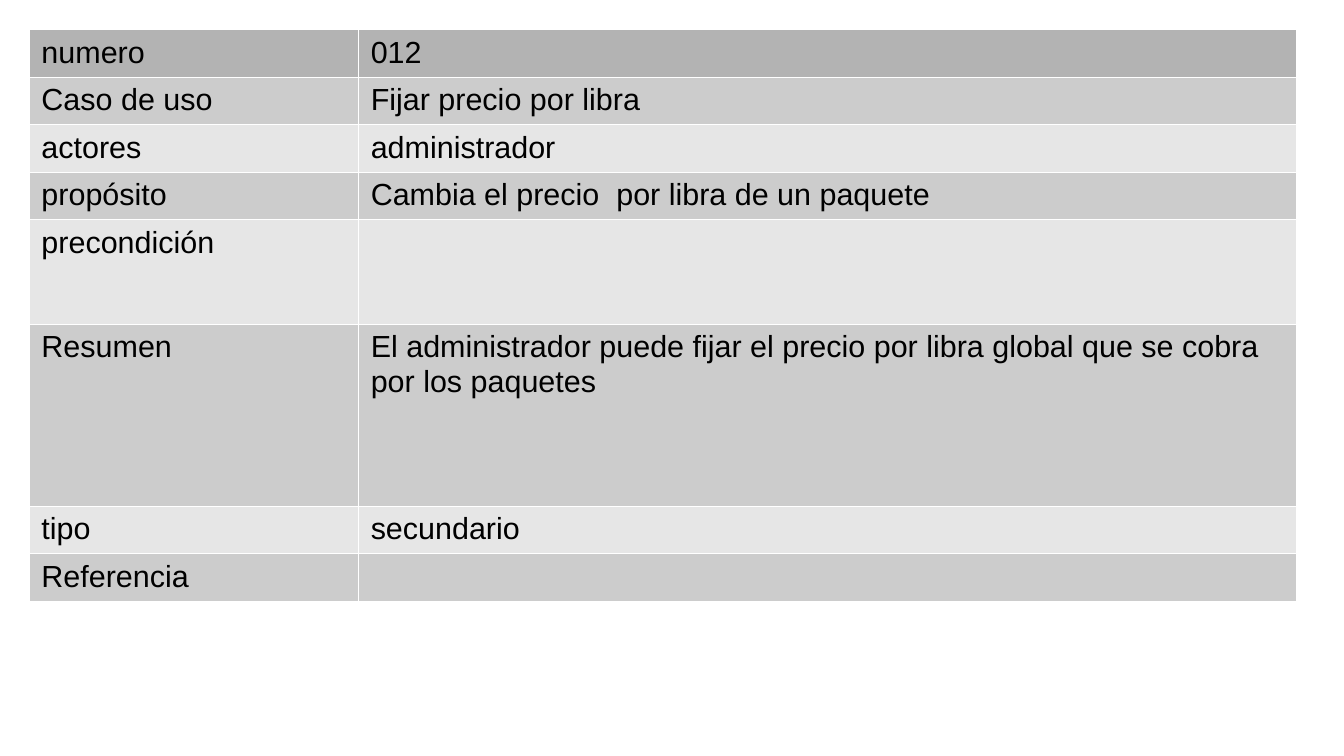
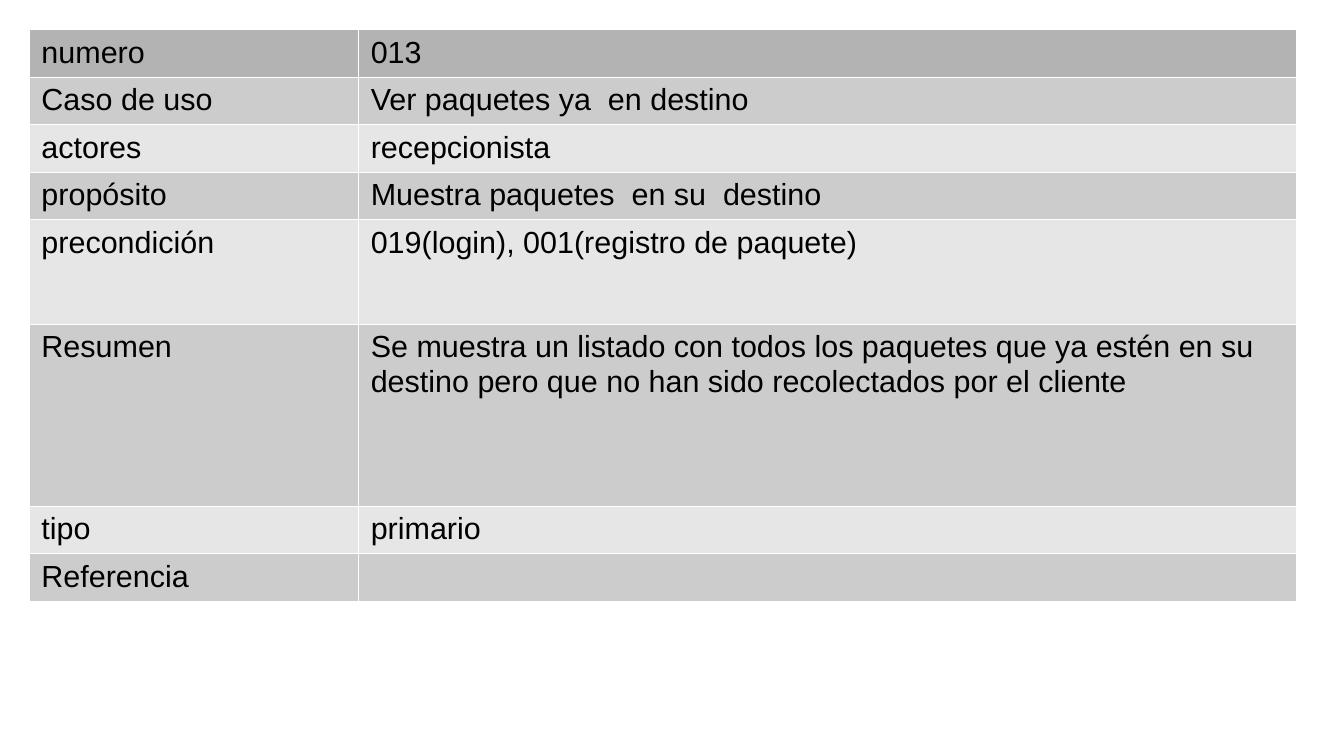
from lxml.etree import SubElement
from pptx import Presentation
from pptx.dml.color import RGBColor
from pptx.oxml.ns import qn
from pptx.util import Inches, Pt

SLIDE_WIDTH, SLIDE_HEIGHT = Inches(11.02), Inches(6.2)
MARGIN = Inches(0.24)
COLUMN_WIDTHS = Inches(2.7), Inches(7.69)
LINE_ROW = Inches(0.39)
ROW_HEIGHTS = {"precondición": Inches(0.86), "Resumen": Inches(1.49)}

FONT_NAME, FONT_SIZE = "Arial", Pt(18)
BLACK = RGBColor(0x00, 0x00, 0x00)
WHITE = RGBColor(0xFF, 0xFF, 0xFF)
HEADER_GRAY = RGBColor(0xB3, 0xB3, 0xB3)
BAND_GRAYS = RGBColor(0xE6, 0xE6, 0xE6), RGBColor(0xCC, 0xCC, 0xCC)
BORDER_WIDTH = Pt(0.06)

FIELDS = ("numero", "Caso de uso", "actores", "propósito",
          "precondición", "Resumen", "tipo", "Referencia")
USE_CASES = (
    ("012", "Fijar precio por libra", "administrador",
     "Cambia el precio  por libra de un paquete", "",
     "El administrador puede fijar el precio por libra global que se cobra "
     "por los paquetes",
     "secundario", ""),
    ("013", "Ver paquetes ya  en destino", "recepcionista",
     "Muestra paquetes  en su  destino",
     "019(login), 001(registro de paquete)",
     "Se muestra un listado con todos los paquetes que ya estén en su destino "
     "pero que no han sido recolectados por el cliente",
     "primario", ""),
)


def add_borders(cell):
    properties = cell._tc.get_or_add_tcPr()
    for side in ("a:lnL", "a:lnR", "a:lnT", "a:lnB"):
        border = SubElement(properties, qn(side), w=str(BORDER_WIDTH))
        fill = SubElement(border, qn("a:solidFill"))
        SubElement(fill, qn("a:srgbClr"), val=str(WHITE))


def format_cell(cell, text, color):
    add_borders(cell)
    cell.fill.solid()
    cell.fill.fore_color.rgb = color
    cell.text = text
    font = cell.text_frame.paragraphs[0].font
    font.name, font.size = FONT_NAME, FONT_SIZE
    font.color.rgb = BLACK


def add_use_case_table(slide, left, top, values):
    heights = [ROW_HEIGHTS.get(field, LINE_ROW) for field in FIELDS]
    table = slide.shapes.add_table(
        len(FIELDS), len(COLUMN_WIDTHS), left, top,
        sum(COLUMN_WIDTHS), sum(heights)).table
    table.first_row = table.horz_banding = False
    for column, width in zip(table.columns, COLUMN_WIDTHS):
        column.width = width
    for index, entry in enumerate(zip(FIELDS, values)):
        row = table.rows[index]
        row.height = heights[index]
        color = BAND_GRAYS[index % 2] if index else HEADER_GRAY
        for cell, text in zip(row.cells, entry):
            format_cell(cell, text, color)


def main():
    presentation = Presentation()
    presentation.slide_width = SLIDE_WIDTH
    presentation.slide_height = SLIDE_HEIGHT
    blank_layout = presentation.slide_layouts[6]
    for values in USE_CASES:
        slide = presentation.slides.add_slide(blank_layout)
        add_use_case_table(slide, MARGIN, MARGIN, values)
    presentation.save("out.pptx")


if __name__ == "__main__":
    main()
